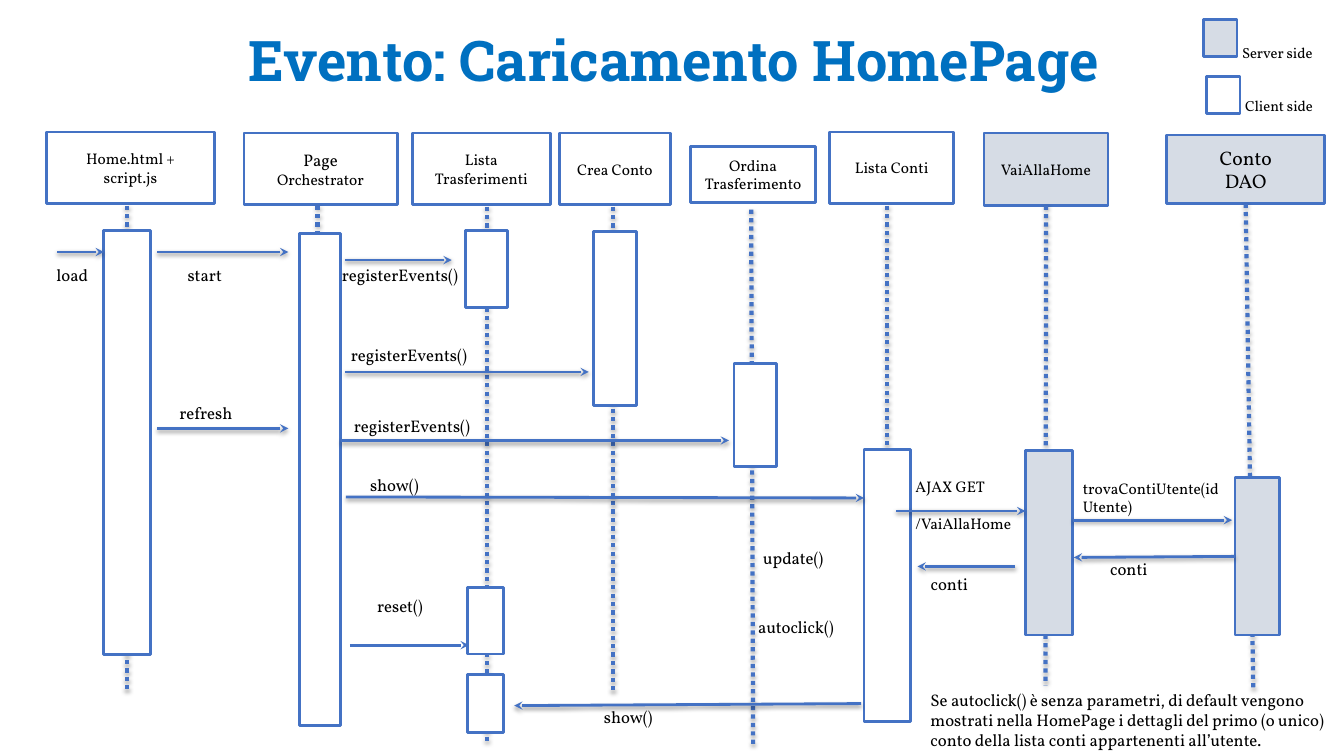
import pptx
import pptx.util
import pptx.dml.color
import pptx.enum.shapes
import pptx.enum.text
import pptx.enum.dml
import pptx.oxml
import pptx.oxml.ns

Inches = pptx.util.Inches
Pt = pptx.util.Pt
ANCHOR = pptx.enum.text.MSO_ANCHOR
ALIGN = pptx.enum.text.PP_ALIGN
BOTTOM, LEFT = 2, 1  # connection sites of a rectangle

THEME = {
    "title_font": "Roboto Slab", "body_font": "Vollkorn",
    "title": "0070C0", "text": "000000", "line": "4472C4",
    "client": "FFFFFF", "server": "D6DCE5",
    "title_size": 40, "large": 14, "label": 12, "small": 11, "legend": 10.5,
    "outline": 2, "lifeline": 3,
    "inset": (0.12, 0.06), "tight_inset": (0.1, 0.05),
}

TITLE = ("Evento: Caricamento HomePage", (0.68, 0, 12, 1.25))

# header lines are (text, size); "life" is start and end of the dotted line
PARTICIPANTS = [
    {"lines": [("Home.html + script.js", "small")], "side": "client",
     "head": (0.46, 1.31, 1.67, 0.71), "life": (1.26, 2.04, 1.26, 6.88),
     "bars": [(1.03, 2.29, 0.46, 4.2)]},
    {"lines": [("Page", "label"), ("Orchestrator", "small")], "side": "client",
     "head": (2.42, 1.32, 1.52, 0.71), "life": (3.15, 2.04, 3.15, 6.88),
     "bars": [(2.97, 2.32, 0.41, 4.88)]},
    {"lines": [("Lista Trasferimenti", "small")], "side": "client",
     "head": (4.09, 1.32, 1.37, 0.71), "life": (4.83, 2.05, 4.83, 7.37),
     "bars": [(4.62, 2.29, 0.41, 0.76), (4.64, 5.83, 0.35, 0.66), (4.64, 6.69, 0.35, 0.58)]},
    {"lines": [("Crea Conto", "small")], "side": "client",
     "head": (5.55, 1.32, 1.1, 0.71), "life": (6.08, 2.05, 6.08, 6.89),
     "bars": [(5.89, 2.3, 0.42, 1.72)]},
    {"lines": [("Ordina Trasferimento", "small")], "side": "client",
     "head": (6.85, 1.45, 1.24, 0.56), "life": (7.45, 2.08, 7.47, 7.4),
     "bars": [(7.28, 3.61, 0.42, 1.02)]},
    {"lines": [("Lista Conti", "small")], "side": "client",
     "head": (8.23, 1.31, 1.23, 0.71), "life": (8.8, 2.04, 8.8, 6.88),
     "bars": [(8.57, 4.46, 0.46, 2.7)]},
    {"lines": [("VaiAllaHome", "small")], "side": "server", "joined": True,
     "head": (9.76, 1.32, 1.23, 0.72), "life": (10.37, 2.04, 10.37, 6.8),
     "bars": [(10.17, 4.47, 0.47, 1.83)]},
    {"lines": [("Conto", "large"), ("DAO", "large")], "side": "server", "joined": True,
     "head": (11.57, 1.34, 1.57, 0.68), "life": (12.36, 2.02, 12.43, 6.83),
     "bars": [(12.25, 4.74, 0.44, 1.56)]},
]

MESSAGES = [
    (0.57, 2.5, 1.03, 2.5), (1.56, 2.5, 2.86, 2.5), (1.56, 4.25, 2.86, 4.25),
    (3.42, 2.58, 4.48, 2.58), (3.42, 3.69, 5.84, 3.69), (3.38, 4.37, 7.23, 4.37),
    (3.43, 4.93, 8.57, 4.94), (8.89, 5.07, 10.17, 5.07), (10.64, 5.16, 12.22, 5.16),
    (10.07, 5.62, 9.1, 5.62), (8.54, 6.98, 5.1, 7),
]
RESET_CALL = (3.47, 6.4, 4.65, 6.4)
DAO_REPLY = (12.25, 5.52, 10.65, 5.53)

LABELS = [
    (["load"], (0.44, 2.57, 0.84, 0.49), "label"),
    (["start"], (1.74, 2.57, 1.05, 0.49), "label"),
    (["refresh"], (1.66, 3.94, 1.05, 0.49), "label"),
    (["registerEvents()"], (3.27, 2.57, 1.49, 0.49), "label"),
    (["registerEvents()"], (3.36, 3.36, 1.53, 0.49), "label"),
    (["registerEvents()"], (3.39, 4.06, 1.63, 0.49), "label"),
    (["show()"], (3.55, 4.65, 1.09, 0.59), "label"),
    (["reset()"], (3.62, 5.85, 0.95, 0.31), "label"),
    (["show()"], (5.87, 6.95, 1.34, 0.34), "label"),
    (["update()"], (7.45, 5.37, 1.04, 0.34), "label"),
    (["autoclick()"], (7.4, 6.06, 1.24, 0.35), "label"),
    (["AJAX GET", "/VaiAllaHome"], (8.96, 4.67, 1.36, 1.05), "small"),
    (["conti"], (9.11, 5.63, 1.34, 0.34), "label"),
    (["trovaContiUtente(idUtente)"], (10.62, 4.69, 1.63, 0.65), "small"),
    (["conti"], (10.89, 5.48, 1.34, 0.34), "label"),
]
NOTE = ("Se autoclick() è senza parametri, di default vengono mostrati nella HomePage "
        "i dettagli del primo (o unico) conto della lista conti appartenenti all’utente.",
        (9.13, 6.79, 4.21, 0.71), "label")
LEGEND = [
    ("server", (11.94, 0.19, 0.33, 0.37), ("Server side", (12.22, 0.39, 1.11, 0.29), "legend")),
    ("client", (11.97, 0.76, 0.33, 0.37), ("Client side", (12.25, 0.91, 1.08, 0.29), "legend")),
]


def inches(values):
    return [Inches(value) for value in values]


def color(name):
    return pptx.dml.color.RGBColor.from_string(THEME[name])


def apply(target, values):
    for name, value in values.items():
        setattr(target, name, value)


def set_frame(frame, inset="inset", anchor=ANCHOR.TOP):
    side, edge = inches(THEME[inset])
    apply(frame, {"word_wrap": True, "vertical_anchor": anchor, "margin_left": side,
                  "margin_right": side, "margin_top": edge, "margin_bottom": edge})


def write(para, text, size, font="body_font", ink="text", bold=False):
    span = para.add_run()
    span.text = text
    apply(span.font, {"name": THEME[font], "size": Pt(THEME[size]), "bold": bold})
    span.font.color.rgb = color(ink)


def add_box(page, place, side):
    box = page.shapes.add_shape(pptx.enum.shapes.MSO_SHAPE.RECTANGLE, *inches(place))
    box.shadow.inherit = False
    box.fill.solid()
    box.fill.fore_color.rgb = color(side)
    box.line.color.rgb = color("line")
    box.line.width = Pt(THEME["outline"])
    return box


def add_header(page, person):
    box = add_box(page, person["head"], person["side"])
    set_frame(box.text_frame, anchor=ANCHOR.MIDDLE)
    para = box.text_frame.paragraphs[0]
    para.alignment = ALIGN.CENTER
    for number, (text, size) in enumerate(person["lines"]):
        if number:
            para.add_line_break()
        write(para, text, size)
    return box


def add_line(page, ends, width="outline", alpha=38, distance=1.6, shadow=True):
    line = page.shapes.add_connector(pptx.enum.shapes.MSO_CONNECTOR.STRAIGHT, *inches(ends))
    line.line.color.rgb = color("line")
    line.line.width = Pt(THEME[width])
    drop = (f'<a:outerShdw blurRad="{Pt(3.1)}" dist="{Pt(distance)}" dir="5400000" '
            f'rotWithShape="0"><a:srgbClr val="000000"><a:alpha val="{alpha * 1000}"/>'
            '</a:srgbClr></a:outerShdw>') if shadow else ""
    line._element.spPr.append(pptx.oxml.parse_xml(
        f'<a:effectLst {pptx.oxml.ns.nsdecls("a")}>{drop}</a:effectLst>'))
    return line


def add_arrow(page, ends, shadow=True):
    arrow = add_line(page, ends, shadow=shadow)
    arrow.line._get_or_add_ln().append(pptx.oxml.parse_xml(
        f'<a:tailEnd {pptx.oxml.ns.nsdecls("a")} type="stealth"/>'))
    return arrow


def add_text(page, lines, place, size, inset="inset"):
    frame = page.shapes.add_textbox(*inches(place)).text_frame
    set_frame(frame, inset)
    for number, text in enumerate(lines):
        para = frame.add_paragraph() if number else frame.paragraphs[0]
        if number:  # leaves room for the arrow between the two lines
            para.space_before = Pt(13.2)
        write(para, text, size)
    return frame


def add_title(page):
    text, place = TITLE
    frame = page.shapes.add_textbox(*inches(place)).text_frame
    set_frame(frame, anchor=ANCHOR.MIDDLE)
    para = frame.paragraphs[0]
    apply(para, {"alignment": ALIGN.CENTER, "line_spacing": 0.9})
    write(para, text, "title_size", "title_font", "title", True)


def main():
    deck = pptx.Presentation()
    apply(deck, {"slide_width": Inches(13.33), "slide_height": Inches(7.5)})
    page = deck.slides.add_slide(deck.slide_layouts[6])
    add_title(page)

    for person in PARTICIPANTS:
        header = add_header(page, person)
        lifeline = add_line(page, person["life"], "lifeline", 35, 1.8)
        lifeline.line.dash_style = pptx.enum.dml.MSO_LINE.ROUND_DOT
        if person.get("joined"):
            lifeline.begin_connect(header, BOTTOM)
        bars = [add_box(page, place, person["side"]) for place in person["bars"]]

    for ends in MESSAGES:
        add_arrow(page, ends)
    add_arrow(page, RESET_CALL, shadow=False)
    dao_bar = bars[0]
    add_arrow(page, DAO_REPLY).begin_connect(dao_bar, LEFT)

    for lines, place, size in LABELS:
        add_text(page, lines, place, size)
    for side, place, _ in LEGEND:
        add_box(page, place, side)
    for text, place, size in [NOTE] + [entry[2] for entry in LEGEND]:
        frame = add_text(page, [text], place, size, "tight_inset")
        frame.auto_size = pptx.enum.text.MSO_AUTO_SIZE.SHAPE_TO_FIT_TEXT
    deck.save("out.pptx")


if __name__ == "__main__":
    main()
